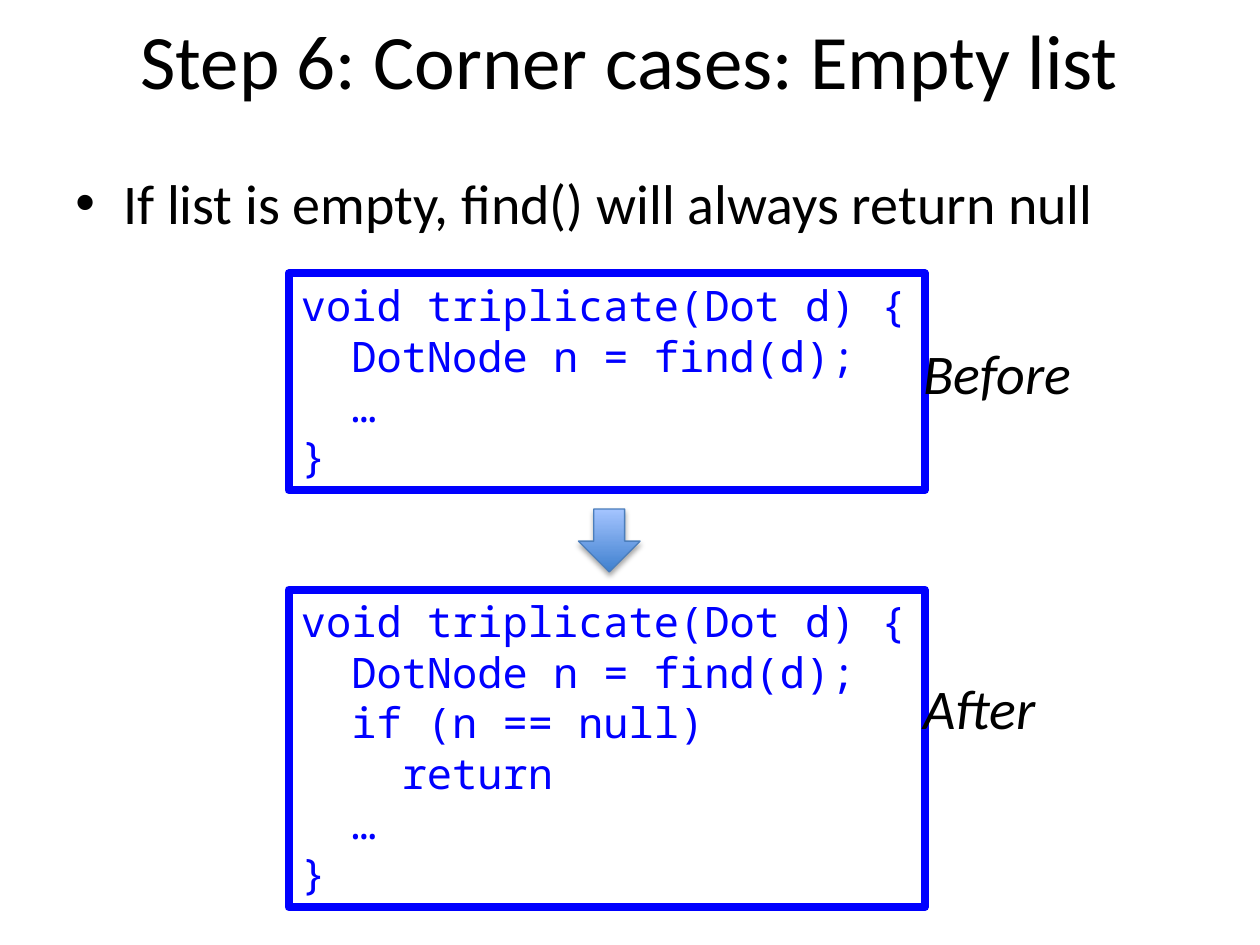
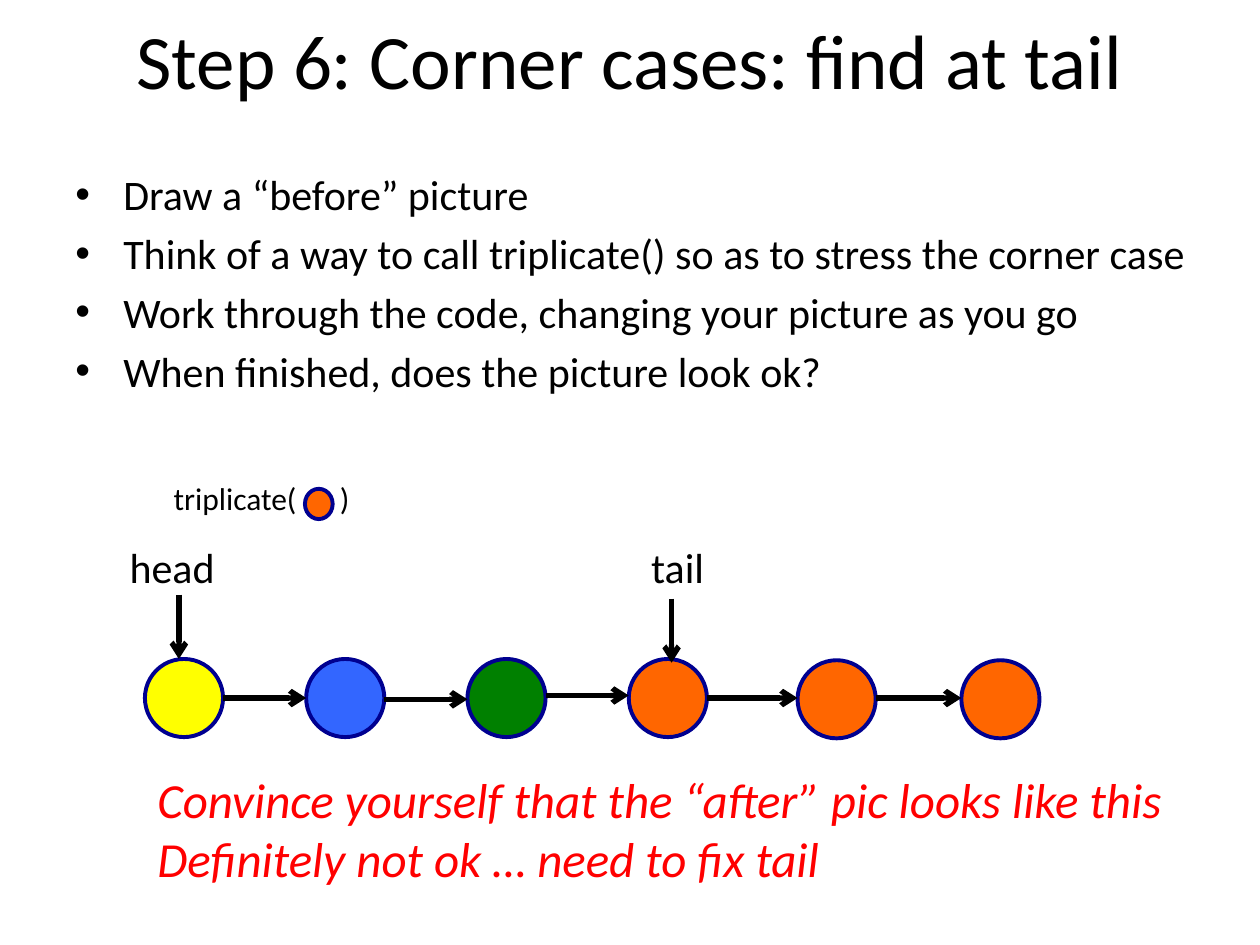
from lxml.etree import SubElement
from pptx import Presentation
from pptx.dml.color import RGBColor
from pptx.enum.shapes import MSO_CONNECTOR, MSO_SHAPE
from pptx.enum.text import MSO_ANCHOR, PP_ALIGN
from pptx.oxml.ns import qn
from pptx.util import Inches, Pt

BLACK = RGBColor(0, 0, 0)
RED = RGBColor(0xFF, 0, 0)
BLUE = RGBColor(0, 0, 0xFF)
NAVY = RGBColor(0, 0, 0x90)
YELLOW = RGBColor(0xFF, 0xFF, 0)
AZURE = RGBColor(0x33, 0x66, 0xFF)
GREEN = RGBColor(0, 0x80, 0)
ORANGE = RGBColor(0xFF, 0x66, 0)
DARK = RGBColor(0x3F, 0x80, 0xCE)
LIGHT = RGBColor(0xA4, 0xC4, 0xFF)
EDGE = RGBColor(0x4B, 0x7E, 0xBC)

OVAL, DOWN = MSO_SHAPE.OVAL, MSO_SHAPE.DOWN_ARROW
STRAIGHT = MSO_CONNECTOR.STRAIGHT
MIDDLE = MSO_ANCHOR.MIDDLE
CENTER = PP_ALIGN.CENTER

SANS, MONO = "Calibri", "Noto Sans Mono"
STEP = 0.2  # width of one code character


class Deck:
    def __init__(self):
        self.prs = Presentation()
        self.prs.slide_width, self.prs.slide_height = Inches(10), Inches(7.5)
        self.slide = None

    def style(self, frame, size, color=BLACK, font=SANS, italic=False):
        for para in frame.paragraphs:
            for run in para.runs:
                run.font.size, run.font.name = Pt(size), font
                run.font.color.rgb, run.font.italic = color, italic

    def page(self, title):
        self.slide = self.prs.slides.add_slide(self.prs.slide_layouts[5])
        head = self.slide.shapes.title
        head.left, head.top = Inches(0.5), Inches(-0.16)
        head.width, head.height = Inches(9), Inches(1.25)
        frame = head.text_frame
        frame.text = title
        frame.vertical_anchor = MIDDLE
        frame.paragraphs[0].alignment = CENTER
        self.style(frame, 44)

    def text(self, x, y, w, h, words, size, wrap=False, **look):
        box = self.slide.shapes.add_textbox(
            Inches(x), Inches(y), Inches(w), Inches(h))
        box.text_frame.word_wrap = wrap
        box.text_frame.text = words
        self.style(box.text_frame, size, **look)
        return box

    def bullets(self, w, lines, size):
        box = self.text(0.5, 1.29, w, 0.86, "\n".join(lines), size, wrap=True)
        for para in box.text_frame.paragraphs:
            para.space_before = Pt(size * 0.2)
            props = para._p.get_or_add_pPr()
            props.set("marL", str(Inches(0.38)))
            props.set("indent", str(Inches(-0.38)))
            SubElement(props, qn("a:buFont"), typeface="Arial")
            SubElement(props, qn("a:buChar"), char="•")

    def code(self, y, h, lines):
        """Draw a framed listing from (indent in characters, line) pairs."""
        words = "\n".join(line for _, line in lines)
        box = self.text(2.29, y, 5.05, h, words, 24, color=BLUE, font=MONO)
        box.line.color.rgb, box.line.width = BLUE, Pt(4.5)
        for para, (indent, _) in zip(box.text_frame.paragraphs, lines):
            props = para._p.get_or_add_pPr()
            props.set("marL", str(Inches(indent * STEP)))

    def shape(self, kind, x, y, w, h, edge, width):
        item = self.slide.shapes.add_shape(
            kind, Inches(x), Inches(y), Inches(w), Inches(h))
        item.line.color.rgb, item.line.width = edge, Pt(width)
        item.shadow.inherit = False
        return item

    def dot(self, x, y, color, w=0.62, h=0.62):
        item = self.shape(OVAL, x, y, w, h, NAVY, 2.25)
        item.fill.solid()
        item.fill.fore_color.rgb = color

    def block(self, x, y, w, h):
        """Draw a shaded block arrow with a soft shadow below it."""
        item = self.shape(DOWN, x, y, w, h, EDGE, 0.75)
        item.fill.gradient()
        item.fill.gradient_angle = 90
        for stop, color in zip(item.fill.gradient_stops, (DARK, LIGHT)):
            stop.color.rgb = color
        glow = SubElement(
            item._element.spPr.find(qn("a:effectLst")), qn("a:outerShdw"),
            blurRad=str(Pt(3.1)), dist=str(Pt(1.8)), dir="5400000",
            rotWithShape="0")
        tint = SubElement(glow, qn("a:srgbClr"), val=str(BLACK))
        SubElement(tint, qn("a:alpha"), val="35000")

    def arrow(self, x1, y1, x2, y2):
        link = self.slide.shapes.add_connector(
            STRAIGHT, Inches(x1), Inches(y1), Inches(x2), Inches(y2))
        link.line.color.rgb, link.line.width = BLACK, Pt(3)
        SubElement(link.line._get_or_add_ln(), qn("a:tailEnd"), type="arrow")
        SubElement(link._element.spPr, qn("a:effectLst"))


def empty(deck):
    deck.page("Step 6: Corner cases: Empty list")
    deck.bullets(9, ["If list is empty, find() will always return null"], 32)
    start = [(0, "void triplicate(Dot d) {"), (2, "DotNode n = find(d);")]
    check = [(2, "if (n == null)"), (4, "return")]
    end = [(2, "…"), (0, "}")]
    deck.code(2.17, 1.72, start + end)
    deck.code(4.68, 2.52, start + check + end)
    deck.block(4.59, 4.04, 0.49, 0.5)
    for y, word in ((2.64, "Before"), (5.3, "After")):
        deck.text(7.23, y, 1.51, 0.64, word, 32, italic=True)


def tail(deck):
    deck.page("Step 6: Corner cases: find at tail")
    deck.bullets(9.28, [
        "Draw a “before” picture",
        "Think of a way to call triplicate() so as to stress the corner case",
        "Work through the code, changing your picture as you go",
        "When finished, does the picture look ok?"], 24)

    size = 0.62
    spots = [1.15 + 1.28 * i for i in range(4)] + [6.33, 7.63]
    tops = [5.23] * 4 + [5.24] * 2
    colors = [YELLOW, AZURE, GREEN] + [ORANGE] * 3
    for x, y, color in zip(spots, tops, colors):
        deck.dot(x, y, color, size, size)
    levels = (5.54, 5.55, 5.52, 5.54, 5.54)
    for x, after, y in zip(spots, spots[1:], levels):
        deck.arrow(x + size, y, after, y)

    for word, left, x, y in (("head", 0.93, 1.42, 4.72),
                             ("tail", 5.07, 5.33, 4.75)):
        deck.text(left, 4.25, 0.9, 0.5, word, 24)
        deck.arrow(x, y, x, y + 0.51)

    deck.text(1.28, 3.75, 1.2, 0.4, "triplicate(", 18)
    deck.text(2.6, 3.75, 0.3, 0.4, ")", 18)
    deck.dot(2.42, 3.88, ORANGE, 0.22, 0.24)
    deck.text(1.15, 6.06, 8.38, 1.04,
              "Convince yourself that the “after” pic looks like this\n"
              "Definitely not ok … need to fix tail",
              28, color=RED, italic=True)


def main():
    deck = Deck()
    empty(deck)
    tail(deck)
    deck.prs.save("out.pptx")


if __name__ == "__main__":
    main()
